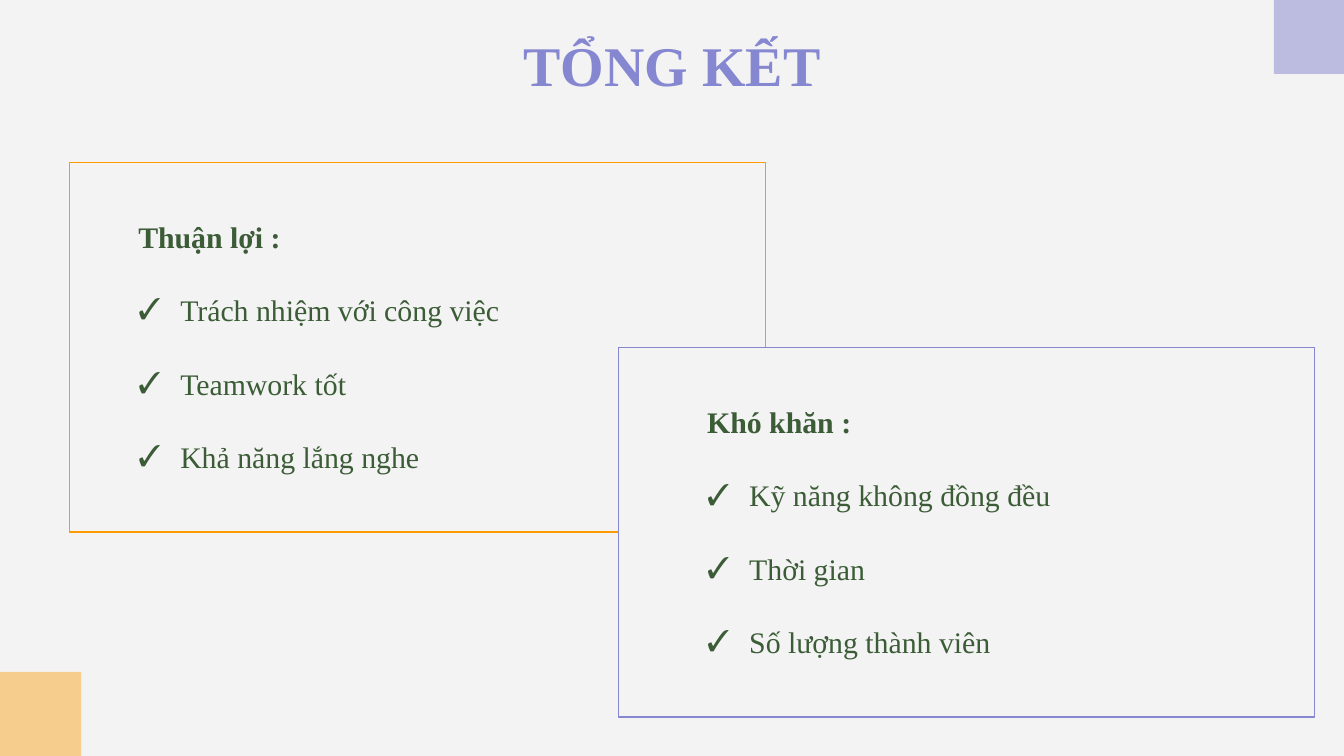
from lxml.etree import SubElement
from pptx import Presentation
from pptx.dml.color import RGBColor
from pptx.enum.shapes import MSO_SHAPE
from pptx.enum.text import MSO_ANCHOR, PP_ALIGN
from pptx.oxml.ns import qn
from pptx.util import Pt

# Content
TITLE = "TỔNG KẾT"
FONT = "Times New Roman"
COLORS = {"background": "F3F3F3", "orange": "FF9900", "purple": "8687D1", "text": "3B5C36"}
CARDS = [
    {"heading": "Thuận lợi :", "line": "orange", "frame": (37.2, 87.1), "text": (67, 108),
     "items": ["Trách nhiệm với công việc", "Teamwork tốt", "Khả năng lắng nghe"]},
    {"heading": "Khó khăn :", "line": "purple", "frame": (331.2, 186.1), "text": (371.8, 207.2),
     "items": ["Kỹ năng không đồng đều", "Thời gian", "Số lượng thành viên"]},
]
SLIDE_SIZE = (720, 405)
FRAME_SIZE = (373, 198)
TEXT_SIZE = (280, 155.5)
INDENT = 22.5
# Corner blocks: color, opacity in percent, left, top, width, height
CORNERS = [("orange", 41, 0, 360, 43.5, 45), ("purple", 50, 682.5, 0, 37.5, 39.6)]


def rgb(name):
    return RGBColor.from_string(COLORS[name])


def add_rectangle(slide, box, fill, line=None, opacity=None):
    shape = slide.shapes.add_shape(MSO_SHAPE.RECTANGLE, *map(Pt, box))
    shape.shadow.inherit = False
    shape.fill.solid()
    shape.fill.fore_color.rgb = rgb(fill)
    if line:
        shape.line.color.rgb = rgb(line)
        shape.line.width = Pt(0.75)
    else:
        shape.line.fill.background()
    if opacity:
        color = shape.fill._xPr.find(".//" + qn("a:srgbClr"))
        SubElement(color, qn("a:alpha")).set("val", str(opacity * 1000))


def add_text_box(slide, box):
    frame = slide.shapes.add_textbox(*map(Pt, box)).text_frame
    frame.word_wrap = True
    frame.margin_left = frame.margin_right = Pt(7.2)
    frame.margin_top = frame.margin_bottom = Pt(7.2)
    return frame


def write(paragraph, text, size, color, bold=False):
    paragraph.text = text
    paragraph.font.name = FONT
    paragraph.font.size = Pt(size)
    paragraph.font.bold = bold
    paragraph.font.color.rgb = rgb(color)


def add_check_bullet(paragraph):
    properties = paragraph._p.get_or_add_pPr()
    properties.set("marL", str(Pt(INDENT)))
    properties.set("indent", str(-Pt(INDENT)))
    color = SubElement(properties, qn("a:buClr"))
    SubElement(color, qn("a:srgbClr")).set("val", COLORS["text"])
    SubElement(properties, qn("a:buFont")).set("typeface", FONT)
    SubElement(properties, qn("a:buChar")).set("char", "✓")


def add_card_text(slide, card):
    frame = add_text_box(slide, card["text"] + TEXT_SIZE)
    heading = frame.paragraphs[0]
    heading.line_spacing = 1.1
    write(heading, card["heading"], 16, "text", bold=True)
    for item in card["items"]:
        paragraph = frame.add_paragraph()
        paragraph.line_spacing = 1.1
        paragraph.space_before = Pt(18.2)
        add_check_bullet(paragraph)
        write(paragraph, item, 16, "text")


def main():
    presentation = Presentation()
    presentation.slide_width, presentation.slide_height = map(Pt, SLIDE_SIZE)
    slide = presentation.slides.add_slide(presentation.slide_layouts[6])
    slide.background.fill.solid()
    slide.background.fill.fore_color.rgb = rgb("background")

    # Overlapping cards
    for card in CARDS:
        add_rectangle(slide, card["frame"] + FRAME_SIZE, "background", card["line"])
    for card in CARDS:
        add_card_text(slide, card)

    # Corner blocks
    for color, opacity, *box in CORNERS:
        add_rectangle(slide, box, color, opacity=opacity)

    # Title
    frame = add_text_box(slide, (49, 0, 622, 59.8))
    frame.vertical_anchor = MSO_ANCHOR.BOTTOM
    frame.paragraphs[0].alignment = PP_ALIGN.CENTER
    write(frame.paragraphs[0], TITLE, 30, "purple", bold=True)

    presentation.save("out.pptx")


if __name__ == "__main__":
    main()
